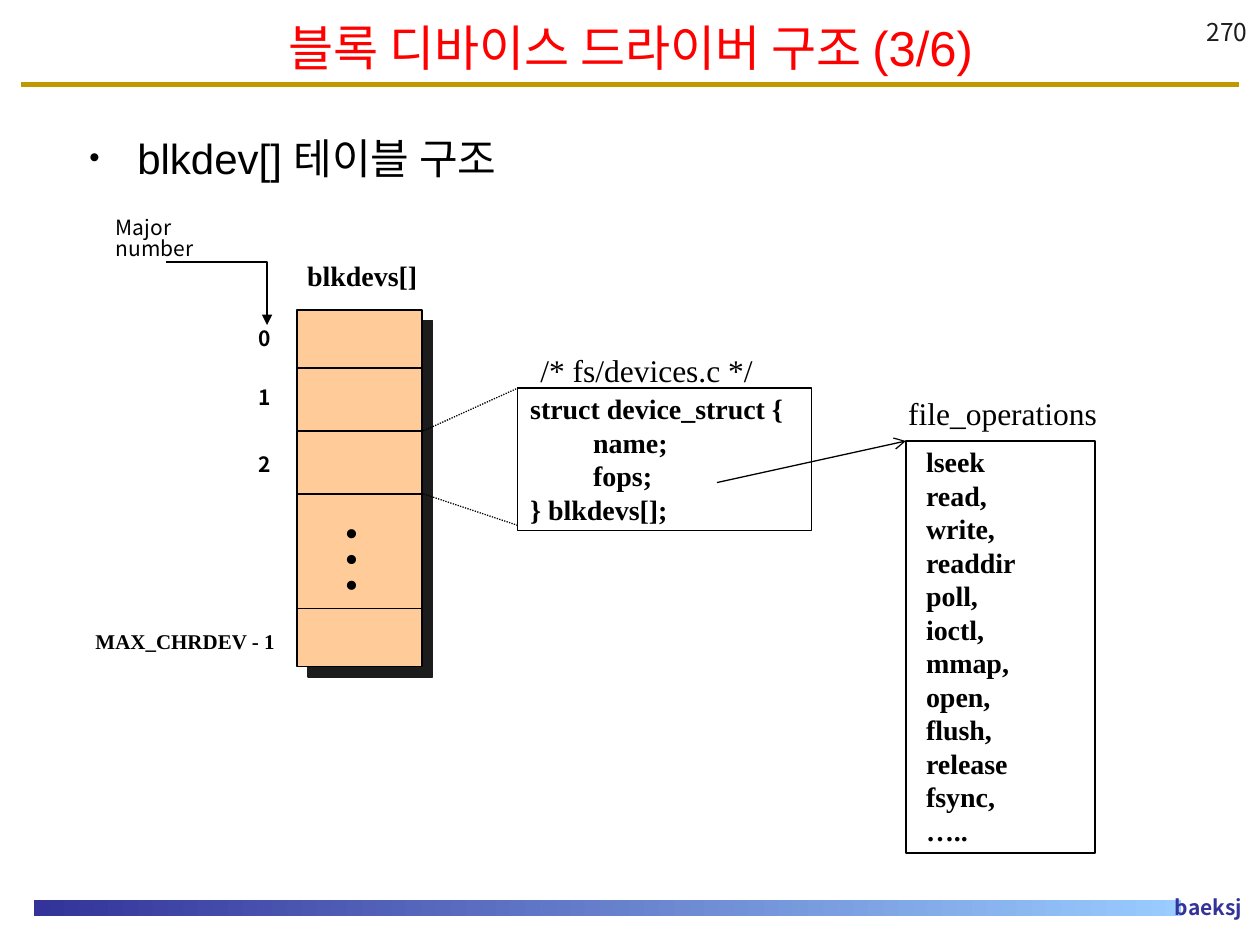
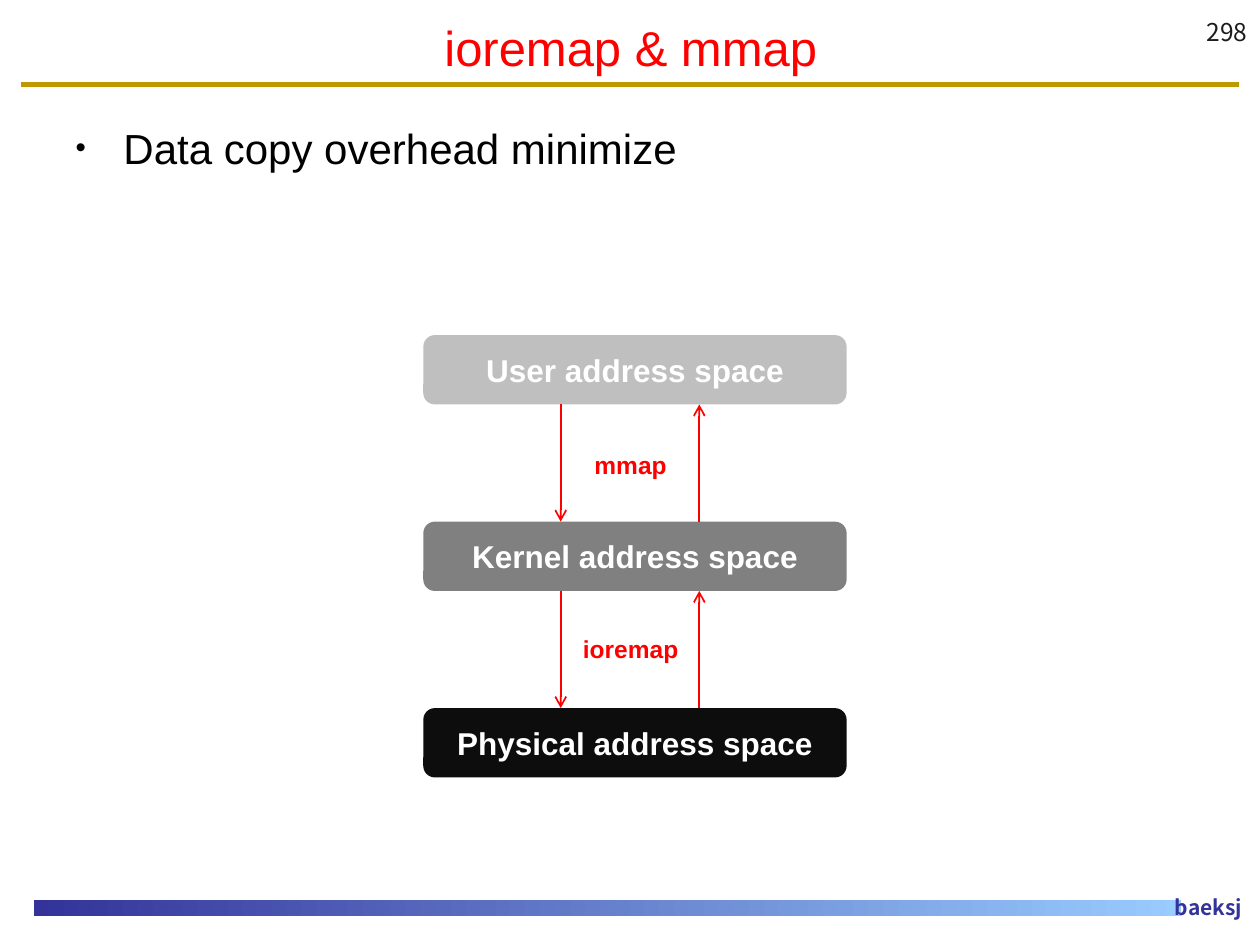
from lxml import etree
from pptx import Presentation
from pptx import util as u
from pptx.dml import color
from pptx.enum import dml, shapes, text
from pptx.oxml import ns

Inches, Pt = u.Inches, u.Pt
ALIGN, ANCHOR, PRESET = text.PP_ALIGN, text.MSO_ANCHOR, shapes.MSO_SHAPE
SANS, SERIF, KOREAN = "Arial", "Times New Roman", "Noto Sans CJK KR"
BLACK, RED, WHITE, NAVY = "000000", "FF0000", "FFFFFF", "333399"
GOLD, SKY, CHARCOAL, PEACH = "BE9A00", "99CCFF", "1C1C1C", "FFCC99"


def rgb(value):
    return color.RGBColor.from_string(value)


def add_xml(parent, tag, **attributes):
    return etree.SubElement(parent, ns.qn(tag), attributes)


def format_frame(frame, content, size, font, tint=BLACK, bold=False,
                 align=ALIGN.LEFT, anchor=ANCHOR.TOP, wrap=True):
    frame.text = content
    frame.word_wrap = wrap
    frame.auto_size = text.MSO_AUTO_SIZE.NONE
    frame.vertical_anchor = anchor
    for paragraph in frame.paragraphs:
        paragraph.alignment = align
        for run in paragraph.runs:
            run.font.name = font
            run.font.size = Pt(size)
            run.font.bold = bold
            run.font.color.rgb = rgb(tint)


def place(shape, left, top, width, height):
    shape.left, shape.top = Inches(left), Inches(top)
    shape.width, shape.height = Inches(width), Inches(height)


def add_label(slide, box, content, size, font, **style):
    label = slide.shapes.add_textbox(*map(Inches, box))
    format_frame(label.text_frame, content, size, font, **style)
    return label


def add_box(slide, box, fill=None, line=None, width=0.75, preset=PRESET.RECTANGLE):
    shape = slide.shapes.add_shape(preset, *map(Inches, box))
    shape.shadow.inherit = False
    if fill:
        shape.fill.solid()
        shape.fill.fore_color.rgb = rgb(fill)
    else:
        shape.fill.background()
    if line:
        shape.line.color.rgb = rgb(line)
        shape.line.width = Pt(width)
    else:
        shape.line.fill.background()
    return shape


def add_arrowhead(shape, kind):
    add_xml(shape.line._get_or_add_ln(), "a:tailEnd", type=kind)


def add_line(slide, start, end, tint=BLACK, width=1, dash=None, arrow=None):
    line = slide.shapes.add_connector(
        shapes.MSO_CONNECTOR.STRAIGHT, *map(Inches, start + end))
    line.line.color.rgb = rgb(tint)
    line.line.width = Pt(width)
    if dash:
        line.line.dash_style = dash
    if arrow:
        add_arrowhead(line, arrow)
    add_xml(line.element.spPr, "a:effectLst")
    return line


def add_elbow_arrow(slide, points):
    start, *rest = [tuple(map(Inches, point)) for point in points]
    builder = slide.shapes.build_freeform(*start)
    builder.add_line_segments(rest, close=False)
    elbow = builder.convert_to_shape()
    elbow.shadow.inherit = False
    elbow.fill.background()
    elbow.line.color.rgb = rgb(BLACK)
    elbow.line.width = Pt(1)
    add_arrowhead(elbow, "triangle")


def add_code_box(slide, box, lines, margin_left=0.1):
    shape = add_box(slide, box, line=BLACK)
    frame = shape.text_frame
    format_frame(frame, "\n".join(lines), 16, SERIF, bold=True)
    frame.margin_left, frame.margin_top = Inches(margin_left), Inches(0.08)
    for index, paragraph in enumerate(frame.paragraphs):
        paragraph.line_spacing = 0.8
        if index:
            paragraph.space_before = Pt(3.8)


def add_hard_shadow(shape):
    effects = shape.element.spPr.find(ns.qn("a:effectLst"))
    shadow = add_xml(effects, "a:outerShdw", blurRad="0", dist=str(Pt(8.5)),
                     dir="2700000", algn="ctr", rotWithShape="0")
    add_xml(shadow, "a:srgbClr", val=CHARCOAL)


def add_bullet(paragraph):
    properties = paragraph._p.get_or_add_pPr()
    properties.set("marL", str(Inches(0.38)))
    properties.set("indent", str(-Inches(0.38)))
    add_xml(add_xml(properties, "a:buClr"), "a:srgbClr", val=BLACK)
    add_xml(properties, "a:buSzPct", val="70000")
    add_xml(properties, "a:buChar", char="•")


def decorate_layout(layout, slide):
    for placeholder in list(layout.placeholders):
        if placeholder.placeholder_format.idx > 1:
            placeholder.element.getparent().remove(placeholder.element)
    place(layout.placeholders[0], 0.17, 0.08, 9.67, 0.58)
    rule = add_line(slide, (0.17, 0.67), (9.83, 0.67), GOLD, 3)
    band = add_box(slide, (0.27, 7.14, 9.1, 0.13))
    band.fill.gradient()
    band.fill.gradient_angle = 0
    for stop, tint in zip(band.fill.gradient_stops, (NAVY, SKY)):
        stop.color.rgb = rgb(tint)
    author = add_label(slide, (8.86, 7.05, 1.14, 0.3), "baeksj", 12, KOREAN,
                       tint=NAVY, bold=True, align=ALIGN.RIGHT)
    author.text_frame.margin_right = Inches(0.14)
    for shape in (rule, band, author):
        layout.shapes.element.append(shape.element)


def fill_slide(slide, title, number, bullet, body_box):
    format_frame(slide.shapes.title.text_frame, title, 28, SANS, tint=RED,
                 align=ALIGN.CENTER, anchor=ANCHOR.MIDDLE)
    body = slide.placeholders[1]
    place(body, *body_box)
    body.text_frame.text = bullet
    add_bullet(body.text_frame.paragraphs[0])
    paragraph = body.text_frame.paragraphs[0]
    paragraph.space_before = Pt(0)
    body.text_frame.auto_size = text.MSO_AUTO_SIZE.NONE
    for run in paragraph.runs:
        run.font.name, run.font.size = SANS, Pt(24)
        run.font.color.rgb = rgb(BLACK)
    add_label(slide, (7.92, 0.17, 2.08, 0.25), number, 14, KOREAN,
              tint=CHARCOAL, align=ALIGN.RIGHT, anchor=ANCHOR.BOTTOM)


def draw_device_table(slide):
    left, width = 2.36, 0.99
    table = add_box(slide, (left, 2.46, width, 2.83), PEACH, BLACK, 1)
    add_hard_shadow(table)
    for y in (2.92, 3.42, 3.92, 4.83):
        add_line(slide, (left, y), (left + width, y))
    add_label(slide, (2.24, 2, 1.27, 0.37), "blkdevs[]", 16, SERIF, bold=True,
              align=ALIGN.CENTER, anchor=ANCHOR.MIDDLE)
    for major, top in enumerate((2.53, 3, 3.53)):
        add_label(slide, (1.95, top, 0.3, 0.3), str(major), 12, KOREAN, bold=True,
                  align=ALIGN.CENTER, anchor=ANCHOR.MIDDLE, wrap=False)
    add_label(slide, (0.66, 4.94, 1.67, 0.3), "MAX_CHRDEV - 1", 12, SERIF, bold=True)
    dots = add_label(slide, (2.5, 4.04, 0.93, 0.71), "…", 44, SERIF,
                     align=ALIGN.CENTER, wrap=False)
    dots.text_frame._txBody.bodyPr.set("vert", "eaVert")
    major_label = add_label(slide, (0.82, 1.75, 0.95, 0.3), "Major number", 12,
                            KOREAN, anchor=ANCHOR.MIDDLE)
    major_label.text_frame.paragraphs[0].line_spacing = 0.83
    add_elbow_arrow(slide, [(1.32, 2.08), (2.12, 2.08), (2.12, 2.58)])


def draw_structures(slide):
    add_code_box(slide, (4.11, 3.08, 2.33, 1.13),
                 ["struct device_struct {", "\tname;", "\tfops;", "} blkdevs[];"])
    operations = ["lseek", "read,", "write,", "readdir", "poll,", "ioctl,",
                  "mmap,", "open,", "flush,", "release", "fsync,", "….."]
    add_code_box(slide, (7.19, 3.5, 1.5, 3.27), operations, margin_left=0.16)
    add_label(slide, (4.19, 2.74, 1.89, 0.4), "/* fs/devices.c */", 18, SERIF, wrap=False)
    add_label(slide, (7.11, 3.08, 1.7, 0.4), "file_operations", 18, SERIF, wrap=False)
    add_line(slide, (5.69, 3.83), (7.19, 3.5), width=0.75, arrow="arrow")
    for row_y, box_y in ((3.42, 3.08), (3.92, 4.17)):
        add_line(slide, (3.36, row_y), (4.11, box_y), width=0.75,
                 dash=dml.MSO_LINE.ROUND_DOT)


def draw_address_spaces(slide):
    top, step, height = 2.66, 1.48, 0.55
    spaces = [("User", "BFBFBF"), ("Kernel", "808080"), ("Physical", "0D0D0D")]
    for index, (name, fill) in enumerate(spaces):
        box = add_box(slide, (3.36, top + index * step, 3.36, height), fill,
                      preset=PRESET.ROUNDED_RECTANGLE)
        format_frame(box.text_frame, f"{name} address space", 18, SANS, tint=WHITE,
                     bold=True, align=ALIGN.CENTER, anchor=ANCHOR.MIDDLE, wrap=False)
    for index, (call, label_top) in enumerate((("mmap", 3.52), ("ioremap", 4.98))):
        upper = top + index * step + height
        lower = top + (index + 1) * step
        add_label(slide, (4.3, label_top, 1.41, 0.34), call, 14, SANS, tint=RED,
                  bold=True, align=ALIGN.CENTER)
        add_line(slide, (4.45, upper), (4.45, lower), RED, arrow="arrow")
        add_line(slide, (5.55, lower), (5.55, upper), RED, arrow="arrow")


def main():
    presentation = Presentation()
    presentation.slide_width, presentation.slide_height = Inches(10), Inches(7.5)
    layout = presentation.slide_layouts[1]

    device_slide = presentation.slides.add_slide(layout)
    decorate_layout(layout, device_slide)
    fill_slide(device_slide, "블록 디바이스 드라이버 구조 (3/6)", "270",
               "blkdev[] 테이블 구조", (0.61, 1, 9, 0.58))
    draw_device_table(device_slide)
    draw_structures(device_slide)

    mapping_slide = presentation.slides.add_slide(layout)
    fill_slide(mapping_slide, "ioremap & mmap", "298",
               "Data copy overhead minimize", (0.5, 0.92, 9, 6))
    draw_address_spaces(mapping_slide)

    presentation.save("out.pptx")


if __name__ == "__main__":
    main()
